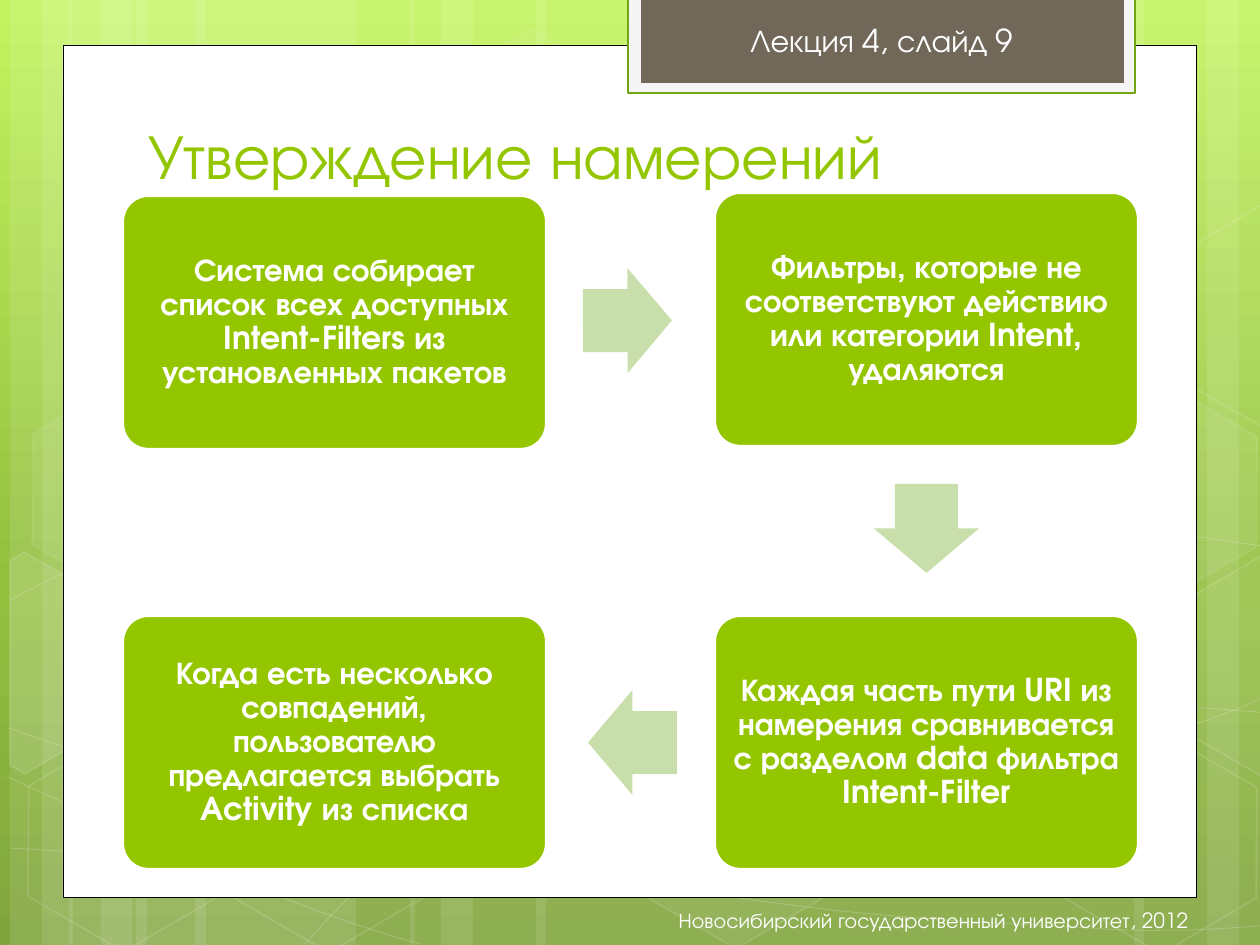
from copy import deepcopy
from dataclasses import dataclass

from pptx import Presentation
from pptx.dml.color import RGBColor
from pptx.enum.shapes import MSO_SHAPE
from pptx.enum.text import MSO_ANCHOR, MSO_AUTO_SIZE, PP_ALIGN
from pptx.oxml.ns import qn
from pptx.oxml.xmlchemy import OxmlElement
from pptx.util import Emu, Pt

SCALE = 914400 / 126
SLIDE_WIDTH, SLIDE_HEIGHT = 1260, 945


@dataclass(frozen=True)
class Theme:
    """Colours, typeface and type sizes of the slide."""
    font: str = "TeX Gyre Adventor"
    white: str = "FFFFFF"
    black: str = "000000"
    green: str = "94C600"
    pale_green: str = "C8DFAB"
    tab_fill: str = "F5F5F5"
    tab_line: str = "74A510"
    brown: str = "71685A"
    gradient: tuple = ((0, "C3F35F"), (0.62, "93BF3F"), (1, "81A53E"))
    title_size: int = 36
    body_size: int = 18
    footer_size: int = 12


THEME = Theme()

STRIPES = [(136, 220), (10, 63), (42, 105), (195, 220), (69, 63), (101, 105),
           (924, 220), (1207, 63), (1134, 105), (536, 388), (410, 63), (441, 105)]

CURVES = [
    [(9, 848), (77, 852), (145, 856), (239, 854), (334, 853), (451, 850), (577, 838),
     (703, 825), (882, 802), (998, 777), (1113, 753), (1231, 716), (1269, 694)],
    [(9, 601), (45, 581), (82, 562), (152, 543), (224, 524), (326, 496), (437, 488),
     (549, 479), (685, 478), (824, 488), (963, 498), (1193, 537), (1269, 547)],
    [(8, 777), (160, 847), (311, 916), (421, 944)],
    [(9, 728), (48, 742), (88, 756), (161, 776), (234, 795), (344, 827), (450, 848),
     (554, 869), (687, 892), (791, 905), (896, 919), (1008, 924), (1075, 927),
     (1140, 932), (1158, 930), (1191, 930), (1223, 929), (1246, 927), (1269, 925)],
    [(305, 944), (328, 919), (350, 893), (381, 871), (411, 848), (454, 823), (489, 805),
     (524, 788), (546, 780), (592, 767), (638, 755), (722, 737), (766, 728),
     (811, 719), (818, 719), (857, 717), (896, 713), (958, 709), (1000, 708),
     (1045, 707), (1116, 708), (1116, 708), (1144, 708), (1173, 708), (1201, 708),
     (1223, 709), (1245, 711), (1256, 712), (1268, 713), (1264, 712), (1268, 713)],
]

HEXAGONS = [(421, 45, 4, 8), (626, 742, 6, 12), (14, 745, 0, 12), (18, 393, 7, 8),
            (219, 746, 0, 12), (949, 571, 10, 12), (1051, 747, 0, 12), (1051, 396, 7, 8)]

CUT_HEXAGONS = [
    ([(10, 561), (24, 552), (121, 607), (120, 718), (25, 774), (10, 765)], 10),
    ([(1167, 611), (1261, 556), (1271, 562), (1271, 772), (1263, 777), (1167, 722)], 4),
    ([(1167, 261), (1261, 205), (1273, 212), (1271, 422), (1263, 427), (1167, 372)], 0),
]

STEPS = [
    (123, 196, "Система собирает список всех доступных Intent-Filters из установленных пакетов"),
    (715, 193, "Фильтры, которые не соответствуют действию или категории Intent, удаляются"),
    (715, 616, "Каждая часть пути URI из намерения сравнивается с разделом data фильтра Intent-Filter"),
    (123, 616, "Когда есть несколько совпадений, пользователю предлагается выбрать Activity из списка"),
]

ARROWS = [(583, 268, -0.2), (882, 476, 90), (588, 690, 180)]


def px(length):
    """Turn pixels into EMU."""
    return Emu(round(length * SCALE))


def set_alpha(element, percent):
    """Make the colour inside a fill or line element translucent."""
    alpha = OxmlElement("a:alpha")
    alpha.set("val", str(percent * 1000))
    element.find(".//" + qn("a:srgbClr")).append(alpha)


def style(shape, fill=None, line=None, width=1, fill_alpha=100, line_alpha=100):
    """Set the fill, line and transparency of a shape."""
    shape.shadow.inherit = False
    properties = shape._element.spPr
    if fill:
        shape.fill.solid()
        shape.fill.fore_color.rgb = RGBColor.from_string(fill)
        if fill_alpha < 100:
            set_alpha(properties.find(qn("a:solidFill")), fill_alpha)
    else:
        shape.fill.background()
    if line:
        shape.line.color.rgb = RGBColor.from_string(line)
        shape.line.width = Pt(width)
        if line_alpha < 100:
            set_alpha(properties.find(qn("a:ln")), line_alpha)
    else:
        shape.line.fill.background()


def add_preset(slide, kind, box, **look):
    """Add a styled preset shape."""
    shape = slide.shapes.add_shape(kind, *map(px, box))
    style(shape, **look)
    return shape


def add_outline(slide, points, closed, **look):
    """Add a styled freeform through the points."""
    builder = slide.shapes.build_freeform(*points[0], scale=SCALE)
    builder.add_line_segments(points[1:], close=closed)
    shape = builder.convert_to_shape()
    style(shape, **look)
    return shape


def add_curve(slide, points, **look):
    """Add an open chain of cubic Bezier segments."""
    anchors = points[::3]
    left, top = (min(values) for values in zip(*anchors))
    shape = add_outline(slide, anchors, False, **look)
    lines = list(shape._element.spPr.iter(qn("a:lnTo")))
    for line, *controls in zip(lines, points[1::3], points[2::3]):
        cubic = OxmlElement("a:cubicBezTo")
        for x, y in controls:
            control = OxmlElement("a:pt")
            control.set("x", str(x - left))
            control.set("y", str(y - top))
            cubic.append(control)
        cubic.append(line[0])
        line.getparent().replace(line, cubic)


def write(shape, text, size, color=THEME.white, align=PP_ALIGN.LEFT, anchor=MSO_ANCHOR.TOP,
          bold=False):
    """Write one paragraph into a shape."""
    frame = shape.text_frame
    frame.word_wrap = True
    frame.vertical_anchor = anchor
    paragraph = frame.paragraphs[0]
    paragraph.text = text
    paragraph.alignment = align
    paragraph.font.name = THEME.font
    paragraph.font.size = Pt(size)
    paragraph.font.bold = bold
    paragraph.font.color.rgb = RGBColor.from_string(color)
    return frame


def add_label(slide, box, text, size, **options):
    """Add a text box with one paragraph."""
    return write(slide.shapes.add_textbox(*map(px, box)), text, size, **options)


def paint_background(slide):
    """Fill the background with the vertical gradient."""
    fill = slide.background.fill
    fill.gradient()
    fill.gradient_angle = 270
    stop_list = slide._element.find(".//" + qn("a:gsLst"))
    stop_list.append(deepcopy(stop_list[-1]))
    for stop, (position, color) in zip(fill.gradient_stops, THEME.gradient):
        stop.position = position
        stop.color.rgb = RGBColor.from_string(color)


def add_decoration(slide):
    """Add the stripes, curves and hexagons behind the page."""
    white = THEME.white
    for left, width in STRIPES:
        add_preset(slide, MSO_SHAPE.RECTANGLE, (left, 0, width, SLIDE_HEIGHT), fill=white, fill_alpha=10)
    for points in CURVES:
        add_curve(slide, points, line=white, width=0.5, line_alpha=20)
    for left, top, fill_alpha, line_alpha in HEXAGONS:
        hexagon = add_preset(slide, MSO_SHAPE.HEXAGON, (left, top, 220, 192), fill=white if fill_alpha else None,
                             fill_alpha=fill_alpha, line=white, line_alpha=line_alpha)
        hexagon.adjustments[0] = 0.285
        hexagon.rotation = 30
    for points, fill_alpha in CUT_HEXAGONS:
        add_outline(slide, points, True, fill=white if fill_alpha else None,
                    fill_alpha=fill_alpha, line=white, line_alpha=12)


def add_page(slide):
    """Add the white page, its tab, the title and the footer."""
    rectangle = MSO_SHAPE.RECTANGLE
    add_preset(slide, rectangle, (63, 45, 1134, 853), fill=THEME.white, line=THEME.black, width=0.5)
    add_preset(slide, rectangle, (628, -3, 507, 96), fill=THEME.tab_fill, line=THEME.tab_line, width=1.25)
    add_preset(slide, rectangle, (641, -3, 483, 86), fill=THEME.brown)
    add_label(slide, (136, 105, 968, 93), "Утверждение намерений", THEME.title_size,
              color=THEME.green, anchor=MSO_ANCHOR.BOTTOM)
    tab_frame = add_label(slide, (738, 15, 310, 50), "Лекция 4, слайд 9", THEME.body_size)
    tab_frame.word_wrap = False
    tab_frame.auto_size = MSO_AUTO_SIZE.SHAPE_TO_FIT_TEXT
    add_label(slide, (391, 895, 810, 50), "Новосибирский государственный университет, 2012",
              THEME.footer_size, align=PP_ALIGN.RIGHT, anchor=MSO_ANCHOR.MIDDLE)


def add_step(slide, left, top, text):
    """Add one rounded card of the process."""
    card = add_preset(slide, MSO_SHAPE.ROUNDED_RECTANGLE, (left, top, 423, 253),
                      fill=THEME.green, line=THEME.white, width=1.25)
    card.adjustments[0] = 0.1
    frame = write(card, text, THEME.body_size, align=PP_ALIGN.CENTER, anchor=MSO_ANCHOR.MIDDLE, bold=True)
    frame.margin_left = frame.margin_right = frame.margin_top = frame.margin_bottom = px(9)
    frame.paragraphs[0].line_spacing = 0.9


def add_arrow(slide, left, top, rotation):
    """Add a block arrow between two cards."""
    arrow = add_preset(slide, MSO_SHAPE.RIGHT_ARROW, (left, top, 89, 105), fill=THEME.pale_green)
    arrow.adjustments[0] = 0.6
    arrow.adjustments[1] = 0.5
    arrow.rotation = rotation


def main():
    """Build and save the slide."""
    presentation = Presentation()
    presentation.slide_width, presentation.slide_height = px(SLIDE_WIDTH), px(SLIDE_HEIGHT)
    slide = presentation.slides.add_slide(presentation.slide_layouts[6])
    paint_background(slide)
    add_decoration(slide)
    add_page(slide)
    for step in STEPS:
        add_step(slide, *step)
    for arrow in ARROWS:
        add_arrow(slide, *arrow)
    presentation.save("out.pptx")


if __name__ == "__main__":
    main()
